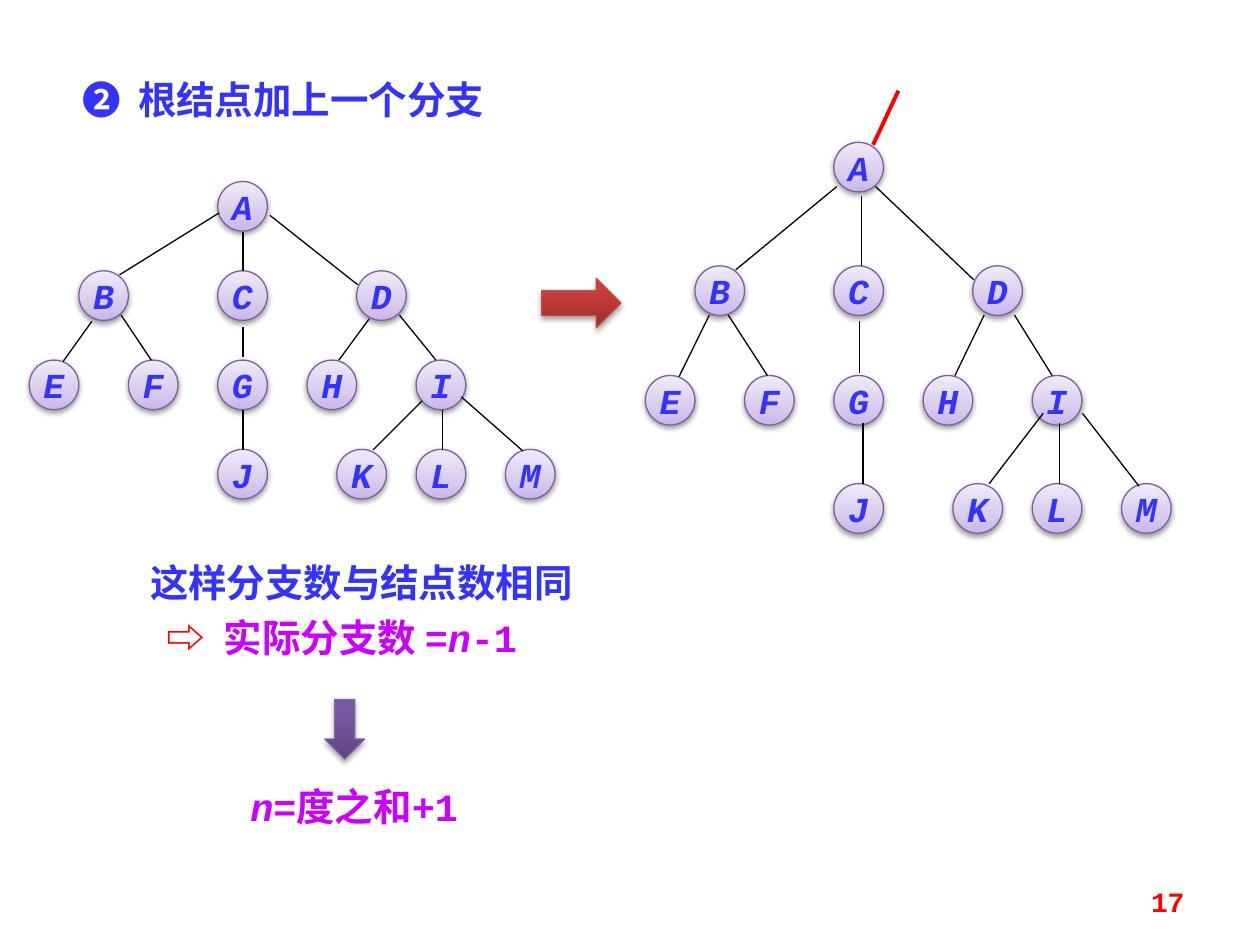
"""Build the slide that adds one branch to the root of a tree."""
from typing import NamedTuple

from lxml import etree
from pptx import Presentation
from pptx.dml.color import RGBColor
from pptx.enum.shapes import MSO_CONNECTOR, MSO_SHAPE
from pptx.enum.text import MSO_ANCHOR, MSO_AUTO_SIZE, PP_ALIGN
from pptx.oxml import parse_xml
from pptx.oxml.ns import nsdecls, qn
from pptx.util import Cm, Pt

OVAL, RIGHT, DOWN = MSO_SHAPE.OVAL, MSO_SHAPE.RIGHT_ARROW, MSO_SHAPE.DOWN_ARROW
LINE = MSO_CONNECTOR.STRAIGHT
TOP, MIDDLE = MSO_ANCHOR.TOP, MSO_ANCHOR.MIDDLE
FIXED = MSO_AUTO_SIZE.NONE
START, CENTER, END = PP_ALIGN.LEFT, PP_ALIGN.CENTER, PP_ALIGN.RIGHT

HUE = {"blue": "3333FF", "pink": "CC00FF", "red": "FF0000",
       "black": "000000", "plum": "7D60A0", "brick": "BF4C48"}
FONT = {"name": "Courier New", "bold": True}


class Box(NamedTuple):
    left: float
    top: float
    width: float
    height: float


class Run(NamedTuple):
    text: str
    hue: str
    size: float = 22
    italic: bool = False


class Look(NamedTuple):
    stops: dict[int, str]
    edge: str
    alpha: int
    drop: int


class Node(NamedTuple):
    name: str
    shift: float
    level: int


class Branch(NamedTuple):
    x1: float
    y1: float
    x2: float
    y2: float
    hue: str = "black"
    width: float = 0.75


class Tree(NamedTuple):
    left: float
    top: float
    drops: tuple[float, ...]
    lines: list[Branch]


LILAC = Look({0: "C9B5E8", 35: "D8CBEE", 100: "F0EAF9"}, "plum", 38, 20000)
PURPLE = Look({0: "5F4480", 80: "7B58A6", 100: "7C57A8"}, "plum", 35, 23000)
CRIMSON = Look({0: "9C2F2D", 80: "CB3E3A", 100: "CE3B37"}, "brick", 35, 23000)

NODES = [Node("A", 0, 0), Node("B", -2.8, 1), Node("C", 0, 1),
         Node("D", 2.8, 1), Node("E", -3.8, 2), Node("F", -1.8, 2),
         Node("G", 0, 2), Node("J", 0, 3), Node("H", 1.8, 2),
         Node("I", 4, 2), Node("K", 2.4, 3), Node("L", 4, 3),
         Node("M", 5.8, 3)]

TREES = [
    Tree(4.39, 3.66, (0, 1.8, 3.6, 5.4), [
        Branch(4.42, 4.29, 2.41, 5.54), Branch(4.9, 4.67, 4.9, 5.46),
        Branch(5.44, 4.34, 7.21, 5.74), Branch(1.85, 6.48, 1.27, 7.29),
        Branch(2.44, 6.35, 3.05, 7.26), Branch(4.9, 6.6, 4.9, 7.19),
        Branch(4.9, 8.26, 4.9, 9.07), Branch(7.44, 6.43, 6.83, 7.26),
        Branch(8.05, 6.35, 8.79, 7.26), Branch(8.51, 8.08, 7.52, 9.07),
        Branch(8.92, 8.26, 8.92, 9.07), Branch(9.3, 8, 10.54, 9.09)]),
    Tree(16.81, 2.87, (0, 2.49, 4.7, 6.88), [
        Branch(16.87, 3.76, 14.83, 5.44), Branch(17.37, 3.96, 17.37, 5.36),
        Branch(17.65, 3.76, 19.63, 5.64), Branch(14.3, 6.35, 13.69, 7.59),
        Branch(14.68, 6.35, 15.47, 7.57), Branch(17.32, 6.48, 17.32, 7.52),
        Branch(17.4, 8.53, 17.4, 9.75), Branch(19.84, 6.35, 19.25, 7.57),
        Branch(20.45, 6.35, 21.21, 7.57), Branch(21.03, 8.33, 19.94, 9.75),
        Branch(21.36, 8.53, 21.36, 9.75), Branch(21.82, 8.33, 22.96, 9.8),
        Branch(18.11, 1.83, 17.6, 2.92, "red", 2.25)]),
]


def apply(item, values: dict) -> None:
    """Set each named value on the item."""
    for key, value in values.items():
        setattr(item, key, value)


def color(name: str) -> RGBColor:
    """Look up a colour by name."""
    return RGBColor.from_string(HUE[name])


def place(shape, box: Box) -> None:
    """Move and size a shape."""
    apply(shape, {key: Cm(value) for key, value in box._asdict().items()})


def write(para, runs: list[Run], align, before: float = 0,
          margin: float = 0, hang: float = 0) -> None:
    """Fill a paragraph with runs, without a bullet."""
    apply(para, {"alignment": align, "space_before": Pt(before)})
    props = para._p.get_or_add_pPr()
    props.set("marL", str(Cm(margin)))
    props.set("indent", str(-Cm(hang)))
    etree.SubElement(props, qn("a:buNone"))
    for part in runs:
        run = para.add_run()
        run.text = part.text
        apply(run.font, FONT | {"size": Pt(part.size), "italic": part.italic})
        run.font.color.rgb = color(part.hue)


def frame(shape, anchor=TOP, wrap: bool = True):
    """Set up the text frame of a shape and return it."""
    text = shape.text_frame
    apply(text, {"auto_size": FIXED, "word_wrap": wrap,
                 "vertical_anchor": anchor})
    return text


def label(slide, box: Box, runs: list[Run], align, anchor=TOP) -> None:
    """Add a text box of one paragraph."""
    shape = slide.shapes.add_textbox(*map(Cm, box))
    write(frame(shape, anchor).paragraphs[0], runs, align)


def solid(slide, kind, box: Box, look: Look):
    """Add a shape with a gradient and a soft shadow."""
    shape = slide.shapes.add_shape(kind, *map(Cm, box))
    stops = "".join(
        f'<a:gs pos="{pos * 1000}"><a:srgbClr val="{tone}"/></a:gs>'
        for pos, tone in look.stops.items())
    props = shape._element.spPr
    props.insert(2, parse_xml(
        f'<a:gradFill {nsdecls("a")} rotWithShape="1"><a:gsLst>{stops}'
        '</a:gsLst><a:lin ang="16200000" scaled="0"/></a:gradFill>'))
    shape.line.color.rgb = color(look.edge)
    shape.line.width = Pt(0.75)
    props.append(parse_xml(
        f'<a:effectLst {nsdecls("a")}><a:outerShdw blurRad="40000" '
        f'dist="{look.drop}" dir="5400000" rotWithShape="0">'
        f'<a:srgbClr val="000000"><a:alpha val="{look.alpha * 1000}"/>'
        '</a:srgbClr></a:outerShdw></a:effectLst>'))
    return shape


def link(slide, line: Branch) -> None:
    """Draw one branch."""
    shape = slide.shapes.add_connector(LINE, *map(Cm, line[:4]))
    shape.line.color.rgb = color(line.hue)
    shape.line.width = Pt(line.width)
    etree.SubElement(shape._element.spPr, qn("a:effectLst"))


def grow(slide, tree: Tree) -> None:
    """Draw the nodes and branches of a tree."""
    for node in NODES:
        box = Box(tree.left + node.shift, tree.top + tree.drops[node.level],
                  1, 1)
        shape = solid(slide, OVAL, box, LILAC)
        write(frame(shape, MIDDLE, False).paragraphs[0],
              [Run(node.name, "blue", 20, True)], CENTER)
    for line in tree.lines:
        link(slide, line)


def main() -> None:
    """Build and save the slide."""
    deck = Presentation()
    apply(deck, {"slide_width": Cm(25.4), "slide_height": Cm(19.05)})
    slide = deck.slides.add_slide(deck.slide_layouts[1])
    title, body = slide.placeholders
    place(title, Box(1.4, 1.4, 9.53, 1.19))
    write(frame(title).paragraphs[0],
          [Run("❷\t根结点加上一个分支", "blue")], START, 0, 1.13, 1.13)
    place(body, Box(2.77, 11.15, 11.13, 2.62))
    text = frame(body)
    write(text.paragraphs[0], [Run("这样分支数与结点数相同", "blue")], START)
    write(text.add_paragraph(),
          [Run("⇨\t", "red"), Run("实际分支数 =", "pink"),
           Run("n", "pink", italic=True), Run("-1", "pink")],
          START, 5, 1.49, 1.15)
    for tree in TREES:
        grow(slide, tree)
    solid(slide, RIGHT, Box(10.92, 5.61, 1.6, 1), CRIMSON)
    solid(slide, DOWN, Box(6.55, 14.1, 0.8, 1.2), PURPLE)
    label(slide, Box(3.76, 15.67, 6.76, 1.19),
          [Run("n", "pink", italic=True), Run("=度之和+1", "pink")], CENTER)
    label(slide, Box(18.21, 17.65, 5.92, 1.02), [Run("17", "red", 16)],
          END, MIDDLE)
    deck.save("out.pptx")


if __name__ == "__main__":
    main()
